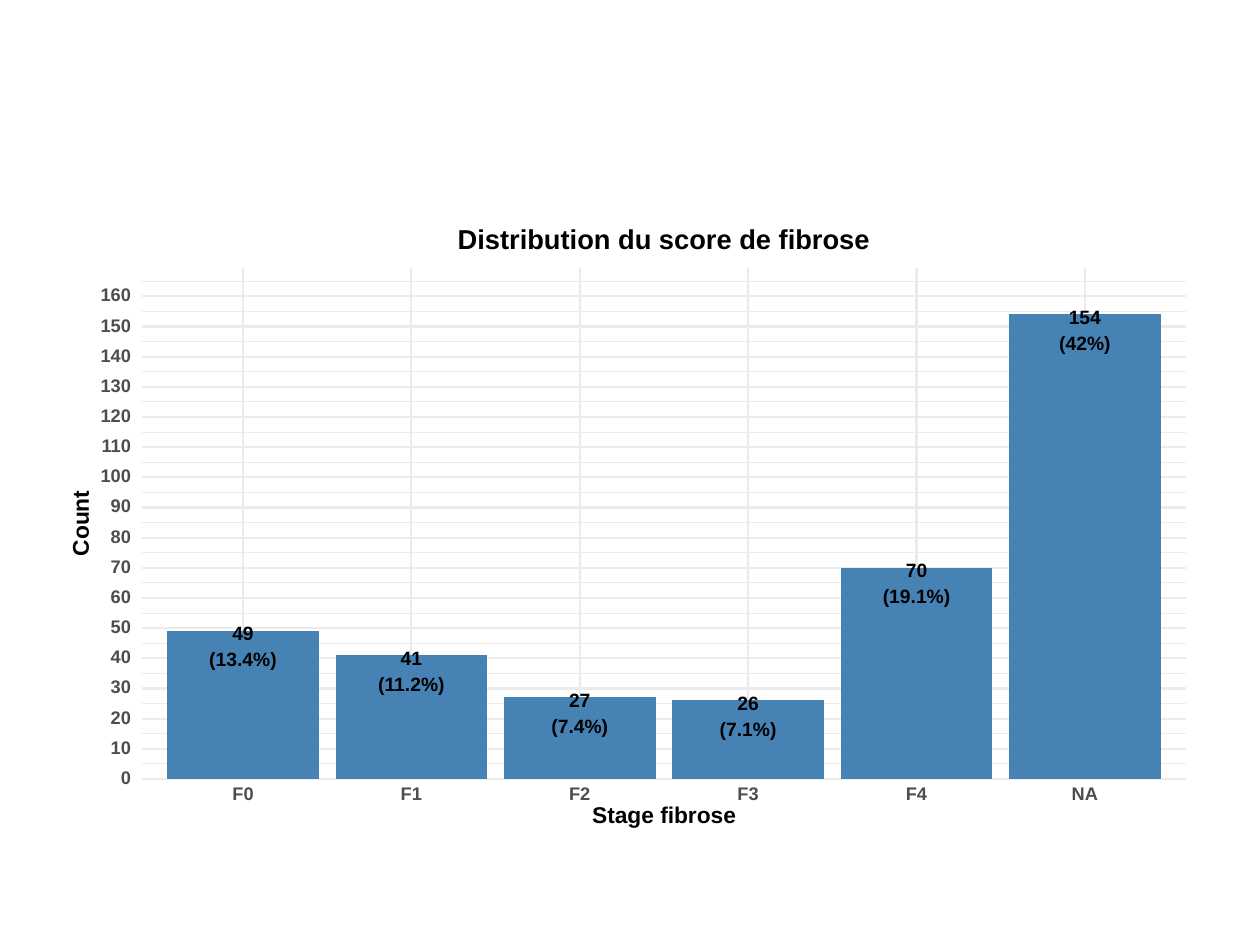
from lxml import etree
from pptx import Presentation
from pptx.chart.data import CategoryChartData as ChartData
from pptx.dml.color import RGBColor
from pptx.enum.chart import XL_CHART_TYPE as Kind, XL_TICK_MARK as Tick
from pptx.enum.shapes import MSO_CONNECTOR as Link
from pptx.enum.text import MSO_ANCHOR as Anchor, PP_ALIGN as Align
from pptx.oxml import parse_xml
from pptx.oxml.ns import nsdecls, qn
from pptx.util import Pt

SCALE = 914400 / 126
FONT = "Arial"
BLACK, GREY, GRID, BLUE = "000000", "4D4D4D", "EBEBEB", "4682B4"
COUNTS = {"F0": 49, "F1": 41, "F2": 27, "F3": 26, "F4": 70, "NA": 154}
TOP = 169.4  # value at the upper edge of the plot
PAD = 0.1  # space beside the outer categories, in category widths


def px(n):
    return round(n * SCALE)


def paint(color, code):
    color.rgb = RGBColor.from_string(code)


def style(font, size, code):
    font.name, font.size, font.bold = FONT, Pt(size), True
    paint(font.color, code)


def label(slide, words, mid, size, width, code=BLACK, align=Align.CENTER, turn=0):
    """Write one line of text centred on the point mid."""
    high = 18
    box = slide.shapes.add_textbox(
        px(mid[0] - width / 2), px(mid[1] - high / 2), px(width), px(high))
    box.rotation = turn
    frame = box.text_frame
    frame.word_wrap = True
    frame.vertical_anchor = Anchor.MIDDLE
    frame.margin_left = frame.margin_right = 0
    frame.margin_top = frame.margin_bottom = 0
    frame.text = words
    line = frame.paragraphs[0]
    line.alignment, line.line_spacing = align, Pt(size)
    style(line.runs[0].font, size, code)


def rule(slide, start, end, width):
    line = slide.shapes.add_connector(Link.STRAIGHT, *map(px, start + end))
    paint(line.line.color, GRID)
    line.line.width = Pt(width)
    etree.SubElement(line._element.spPr, qn("a:effectLst"))


def centers(plot):
    x, _, w, _ = plot
    step = w / (len(COUNTS) + 2 * PAD)
    return [x + step * (PAD + 0.5 + i) for i in range(len(COUNTS))]


def level(plot, value):
    """Return the height on the slide of a value."""
    _, y, _, h = plot
    return y + h * (1 - value / TOP)


def grid(slide, plot):
    x, y, w, h = plot
    for first, width in ((5, 0.63), (0, 1.25)):
        for value in range(first, 170, 10):
            at = level(plot, value)
            rule(slide, (x, at), (x + w, at), width)
    for mid in centers(plot):
        rule(slide, (mid, y), (mid, y + h), 1.25)


def clear(space):
    """Let the grid show through the chart."""
    fill = (f'<c:spPr {nsdecls("c", "a")}><a:noFill/>'
            '<a:ln><a:noFill/></a:ln></c:spPr>')
    space.find(qn("c:chart")).addnext(parse_xml(fill))
    space.find(".//" + qn("c:plotArea")).append(parse_xml(fill))


def fit(space, panel, plot):
    """Set the inner plot area so that the bars stand on the grid."""
    mids = centers(plot)
    step = mids[1] - mids[0]
    parts = {
        "x": (mids[0] - step / 2 - panel[0]) / panel[2],
        "y": (plot[1] - panel[1]) / panel[3],
        "w": step * len(mids) / panel[2],
        "h": plot[3] / panel[3],
    }
    area = space.find(".//" + qn("c:plotArea"))
    for old in area.findall(qn("c:layout")):
        area.remove(old)
    body = '<c:layoutTarget val="inner"/>'
    body += '<c:xMode val="edge"/><c:yMode val="edge"/>'
    body += "".join(f'<c:{k} val="{v:.4f}"/>' for k, v in parts.items())
    area.insert(0, parse_xml(
        f'<c:layout {nsdecls("c")}><c:manualLayout>{body}'
        '</c:manualLayout></c:layout>'))


def bars(slide, panel, plot):
    data = ChartData()
    data.categories = list(COUNTS)
    data.add_series("Count", list(COUNTS.values()))
    chart = slide.shapes.add_chart(
        Kind.COLUMN_CLUSTERED, *map(px, panel), data).chart
    style(chart.font, 10.4, GREY)
    chart.has_legend = chart.has_title = False
    group = chart.plots[0]
    group.gap_width, group.vary_by_categories = 11, False
    fill = group.series[0].format.fill
    fill.solid()
    paint(fill.fore_color, BLUE)
    axis = chart.value_axis
    axis.minimum_scale, axis.maximum_scale = 0, TOP
    axis.has_major_gridlines = axis.visible = False
    base = chart.category_axis
    base.major_tick_mark = Tick.NONE
    base.format.line.fill.background()
    fit(chart._chartSpace, panel, plot)
    clear(chart._chartSpace)


def values(slide, plot):
    total = sum(COUNTS.values())
    for mid, count in zip(centers(plot), COUNTS.values()):
        top = level(plot, count)
        share = round(100 * count / total, 1)
        label(slide, str(count), (mid, top + 4), 11, 40)
        label(slide, f"({share:g}%)", (mid, top + 30), 11, 80)


def scale(slide, plot):
    for value in range(0, 170, 10):
        label(slide, str(value), (plot[0] - 29, level(plot, value)),
              10.4, 36, GREY, Align.RIGHT)


def titles(slide, plot):
    x, y, w, h = plot
    mid = x + w / 2
    label(slide, "Stage fibrose", (mid, y + h + 38), 13, 160)
    label(slide, "Count", (x - 60, y + h / 2), 13, 80, turn=270)
    label(slide, "Distribution du score de fibrose", (mid, y - 27), 15.6, 440)


def main():
    deck = Presentation()
    deck.slide_width, deck.slide_height = px(1260), px(945)
    slide = deck.slides.add_slide(deck.slide_layouts[6])
    panel, plot = (63, 220, 1134, 624), (142, 268, 1044, 511)
    grid(slide, plot)
    bars(slide, panel, plot)
    values(slide, plot)
    scale(slide, plot)
    titles(slide, plot)
    deck.save("out.pptx")


if __name__ == "__main__":
    main()
